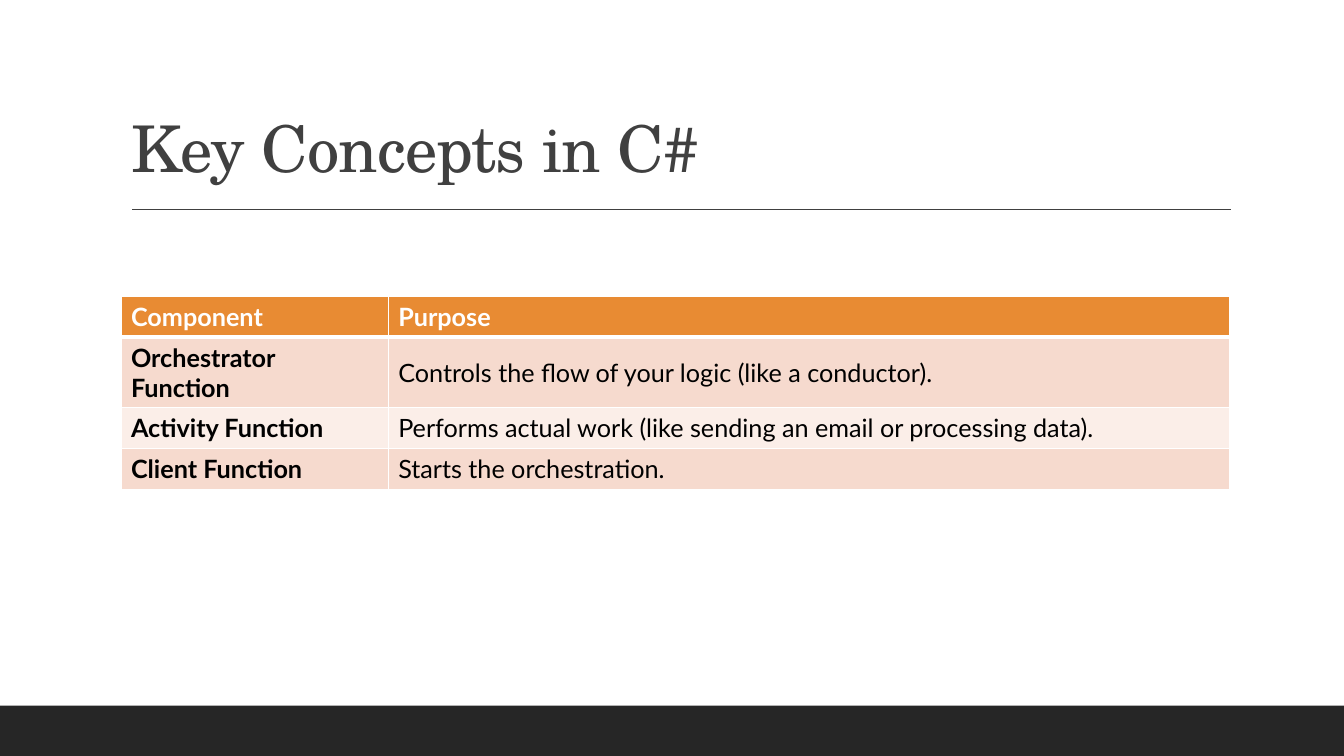
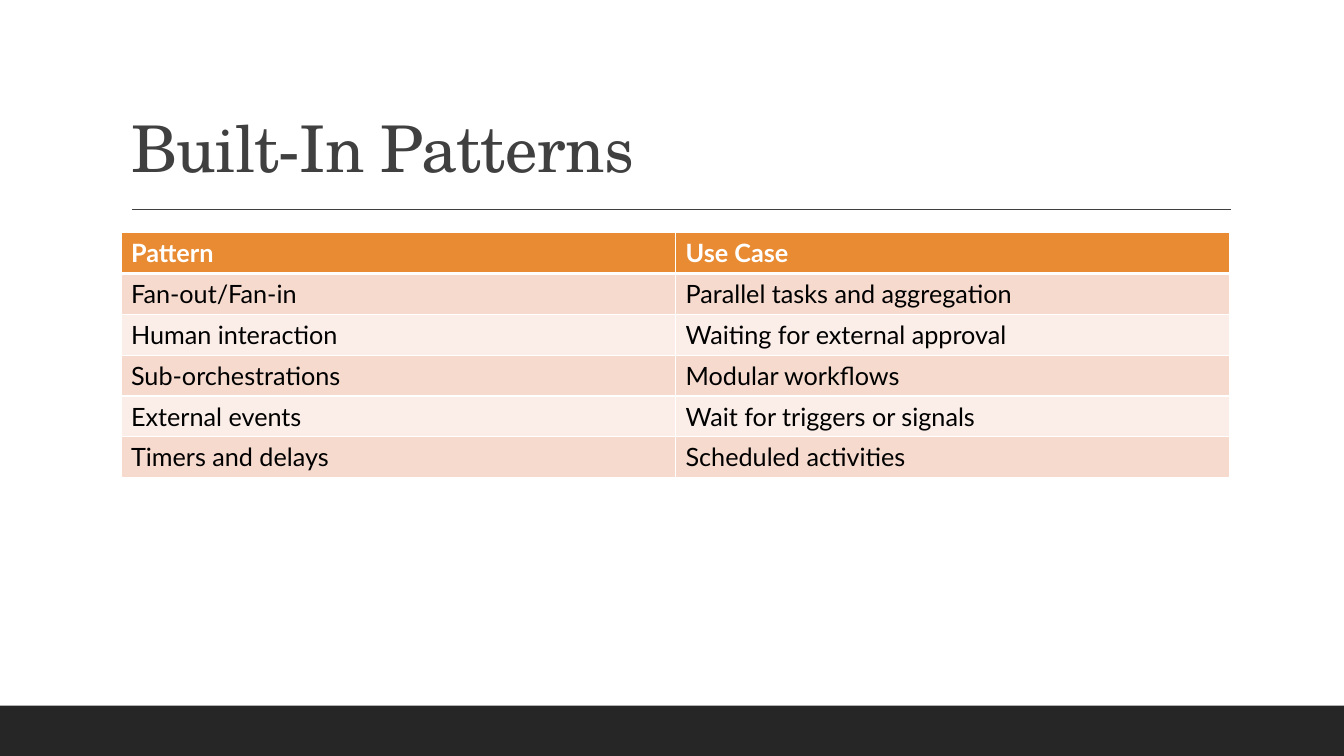
from dataclasses import dataclass

from lxml.etree import SubElement
from pptx import Presentation
from pptx.dml.color import RGBColor
from pptx.enum.shapes import MSO_CONNECTOR, MSO_SHAPE
from pptx.enum.text import MSO_ANCHOR, MSO_AUTO_SIZE, PP_ALIGN
from pptx.oxml.ns import qn
from pptx.util import Emu, Pt

# Lengths: 100 px to the inch
EMU_PER_PX = 9144
SLIDE_W, SLIDE_H = 1333, 750
LEFT, CONTENT_W = 120, 1100
BAND_H = 50
RULE_X1, RULE_X2, RULE_Y = 131, 1221, 208

# Shared style
TITLE_FONT, BODY_FONT = "TeX Gyre Schola", "Lato"
WHITE = RGBColor(0xFF, 0xFF, 0xFF)
BLACK = RGBColor(0x00, 0x00, 0x00)
CHARCOAL = RGBColor(0x26, 0x26, 0x26)
GRAY = RGBColor(0x40, 0x40, 0x40)
ORANGE = RGBColor(0xE8, 0x8B, 0x33)
PEACH = RGBColor(0xF6, 0xDA, 0xCE)
PALE_PEACH = RGBColor(0xFB, 0xEE, 0xE8)


@dataclass(frozen=True)
class TableSlide:
    title: str
    top: int
    height: int
    col_widths: tuple[int, ...]
    rows: tuple[tuple[str, ...], ...]
    bold_first_col: bool = False


SLIDES = (
    TableSlide(
        "Key Concepts in C#", 294, 162, (265, 835),
        (
            ("Component", "Purpose"),
            ("Orchestrator Function", "Controls the flow of your logic (like a conductor)."),
            ("Activity Function",
             "Performs actual work (like sending an email or processing data)."),
            ("Client Function", "Starts the orchestration."),
        ),
        bold_first_col=True,
    ),
    TableSlide(
        "Built-In Patterns", 231, 243, (550, 550),
        (
            ("Pattern", "Use Case"),
            ("Fan-out/Fan-in", "Parallel tasks and aggregation"),
            ("Human interaction", "Waiting for external approval"),
            ("Sub-orchestrations", "Modular workflows"),
            ("External events", "Wait for triggers or signals"),
            ("Timers and delays", "Scheduled activities"),
        ),
    ),
)


def px(n: int) -> Emu:
    return Emu(n * EMU_PER_PX)


def add_frame(s) -> None:
    """Draw the bottom band and the rule under the title."""
    band = s.shapes.add_shape(
        MSO_SHAPE.RECTANGLE, 0, px(SLIDE_H - BAND_H), px(SLIDE_W), px(BAND_H))
    band.shadow.inherit = False
    band.fill.solid()
    band.fill.fore_color.rgb = CHARCOAL
    band.line.fill.background()

    rule = s.shapes.add_connector(
        MSO_CONNECTOR.STRAIGHT, px(RULE_X1), px(RULE_Y), px(RULE_X2), px(RULE_Y))
    rule.line.color.rgb = GRAY
    rule.line.width = Pt(1)
    SubElement(rule._element.spPr, qn("a:effectLst"))


def set_title(s, text: str) -> None:
    sp = s.shapes.title
    sp.left, sp.top, sp.width, sp.height = px(LEFT), px(31), px(CONTENT_W), px(159)
    tf = sp.text_frame
    tf.text = text
    tf.word_wrap = True
    tf.auto_size = MSO_AUTO_SIZE.NONE
    tf.vertical_anchor = MSO_ANCHOR.BOTTOM
    p = tf.paragraphs[0]
    p.alignment = PP_ALIGN.LEFT
    p.line_spacing = 0.9
    r = p.runs[0]
    r.font.name, r.font.size = TITLE_FONT, Pt(46)
    r.font.color.rgb = GRAY
    r.font._element.set("spc", "-50")


def set_borders(cell, top: int, bottom: int) -> None:
    """Give a cell white borders; widths are in points."""
    tc_pr = cell._tc.get_or_add_tcPr()
    for side, width in (("L", 1), ("R", 1), ("T", top), ("B", bottom)):
        ln = SubElement(tc_pr, qn(f"a:ln{side}"), w=str(Pt(width)))
        fill = SubElement(ln, qn("a:solidFill"))
        SubElement(fill, qn("a:srgbClr"), val=str(WHITE))


def format_cell(cell, text: str, row: int, bold: bool) -> None:
    is_header = row == 0
    set_borders(cell, top=3 if row == 1 else 1, bottom=3 if is_header else 1)
    cell.fill.solid()
    cell.fill.fore_color.rgb = ORANGE if is_header else PEACH if row % 2 else PALE_PEACH
    cell.vertical_anchor = MSO_ANCHOR.MIDDLE
    cell.text_frame.text = text
    font = cell.text_frame.paragraphs[0].runs[0].font
    font.name, font.size, font.bold = BODY_FONT, Pt(18), bold
    font.color.rgb = WHITE if is_header else BLACK


def add_table(s, spec_: TableSlide) -> None:
    n_rows = len(spec_.rows)
    table = s.shapes.add_table(
        n_rows, len(spec_.col_widths),
        px(LEFT), px(spec_.top), px(CONTENT_W), px(spec_.height)).table
    for col, width in zip(table.columns, spec_.col_widths):
        col.width = px(width)
    for i, texts in enumerate(spec_.rows):
        table.rows[i].height = Emu(px(spec_.height) // n_rows)
        for j, text in enumerate(texts):
            bold = i == 0 or (j == 0 and spec_.bold_first_col)
            format_cell(table.cell(i, j), text, i, bold)


def main() -> None:
    prs = Presentation()
    prs.slide_width, prs.slide_height = px(SLIDE_W), px(SLIDE_H)
    title_only = prs.slide_layouts[5]
    for content in SLIDES:
        s = prs.slides.add_slide(title_only)
        add_frame(s)
        set_title(s, content.title)
        add_table(s, content)
    prs.save("out.pptx")


if __name__ == "__main__":
    main()
